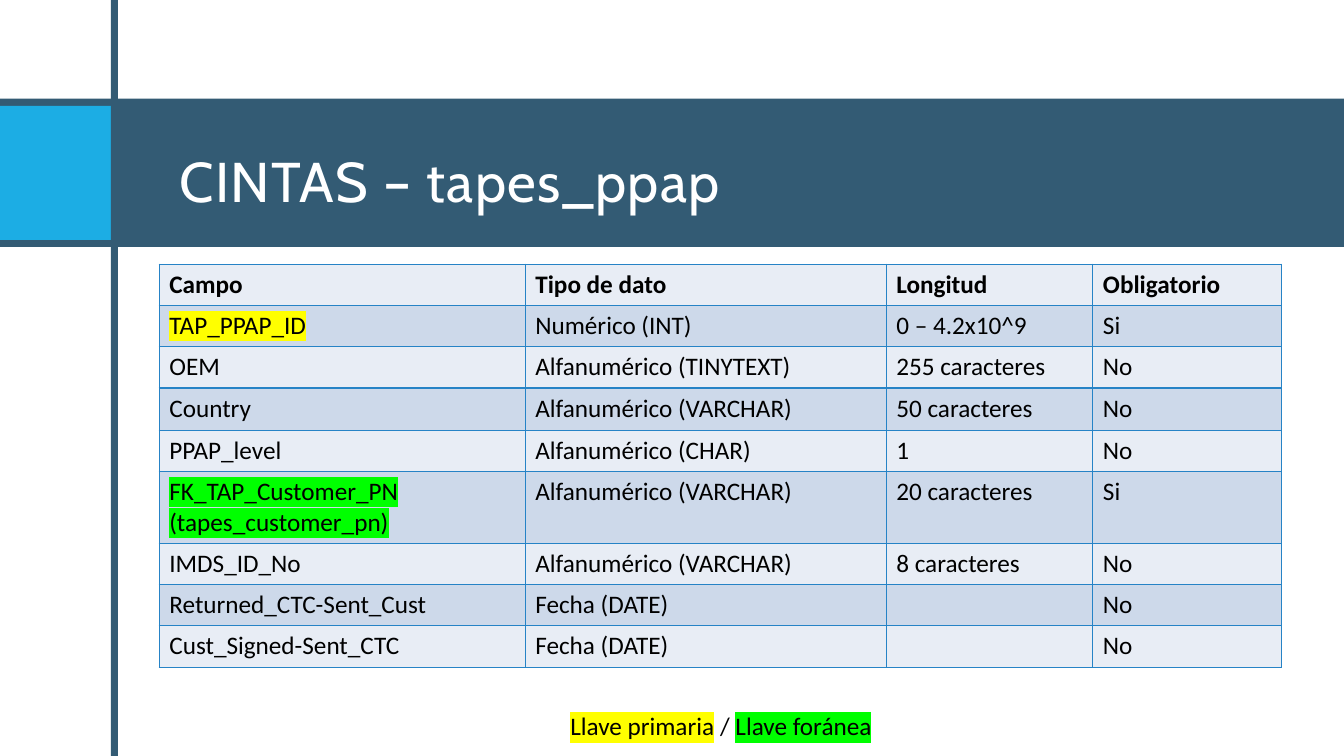
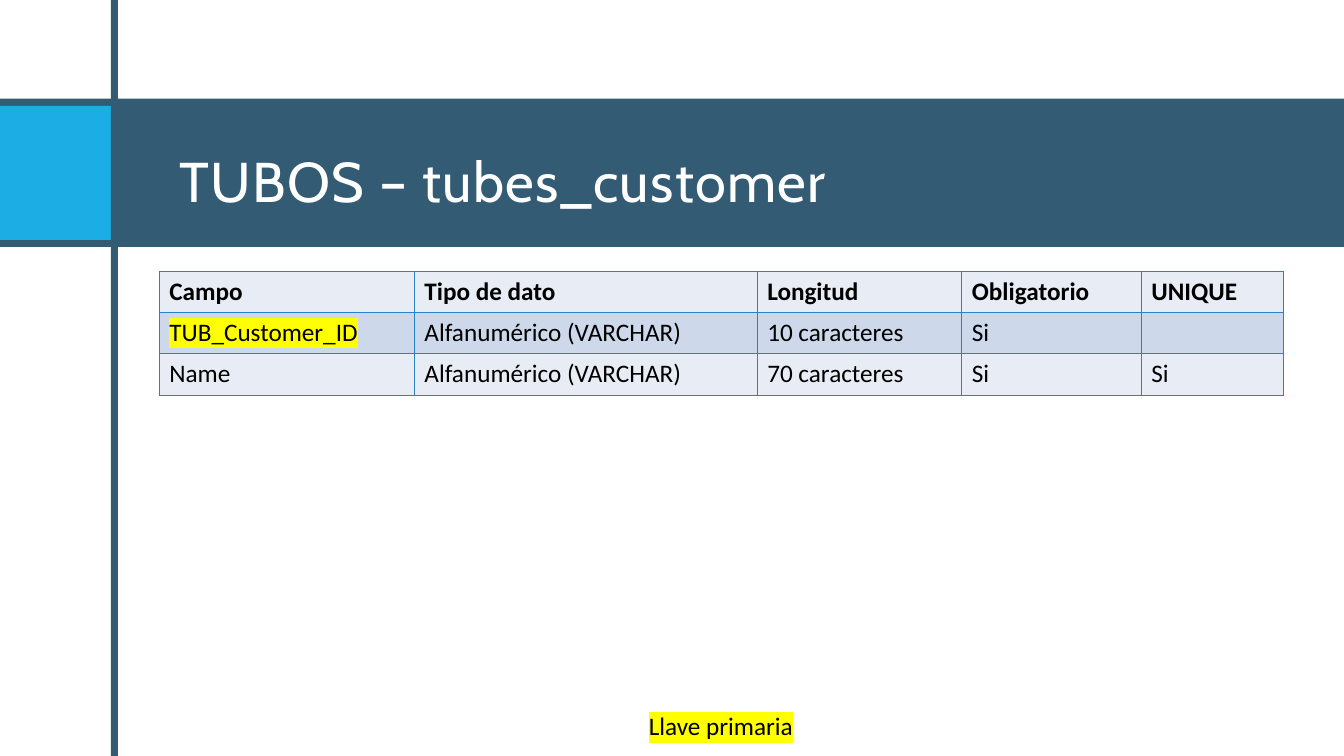
from pptx import Presentation
from pptx.dml.color import RGBColor
from pptx.enum.shapes import MSO_SHAPE
from pptx.enum.text import MSO_ANCHOR, PP_ALIGN
from pptx.oxml import parse_xml
from pptx.oxml.ns import nsdecls, qn
from pptx.util import Inches, Pt

NAVY, CYAN, BORDER = "335B74", "1CADE4", "2683C6"
WHITE, BLACK = "FFFFFF", "000000"
ROW_FILLS = ("E8EDF5", "CDD9EA")
PRIMARY, FOREIGN = "FFFF00", "00FF00"
ROW_HEIGHT = 0.41


def rgb(value):
    return RGBColor.from_string(value)


def color_xml(tag, value, attributes=""):
    """Return an a:<tag> element holding the colour; a line gets it as a solid fill."""
    color = f'<a:srgbClr val="{value}"/>'
    if tag.startswith("ln"):
        color = f"<a:solidFill>{color}</a:solidFill>"
    return parse_xml(f'<a:{tag} {nsdecls("a")} {attributes}>{color}</a:{tag}>')


def write(frame, *lines, size=18, font="Calibri", color=BLACK, bold=False,
          align=PP_ALIGN.LEFT, spacing=0):
    """Write one paragraph per line; a line is a list of (text, highlight) spans."""
    for index, line in enumerate(lines):
        para = frame.add_paragraph() if index else frame.paragraphs[0]
        para.alignment = align
        for text, highlight in line:
            span = para.add_run()
            span.text = text
            span.font.size = Pt(size)
            span.font.name = font
            span.font.bold = bold
            span.font.color.rgb = rgb(color)
            properties = span.font._element
            if spacing:
                properties.set("spc", str(spacing * 100))
            if highlight:
                fill = properties.find(qn("a:solidFill"))
                fill.addnext(color_xml("highlight", highlight))


class SchemaDeck:
    """Deck of database table descriptions, with the slide being built."""

    def __init__(self):
        self.deck = Presentation()
        self.deck.slide_width = Inches(13.33)
        self.deck.slide_height = Inches(7.5)
        self.slide = None

    def add_slide(self, title):
        self.slide = self.deck.slides.add_slide(self.deck.slide_layouts[6])
        self.block(0, 0.98, 13.33, 1.47, NAVY)
        self.block(0, 1.05, 1.1, 1.33, CYAN)
        self.block(1.1, 0, 0.07, 7.5, NAVY)
        frame = self.text_frame(1.68, 1.05, 10.95, 1.33)
        frame.margin_top = Inches(0.2)
        frame.vertical_anchor = MSO_ANCHOR.MIDDLE
        write(frame, [(title, None)], size=40, font="Cabin", color=WHITE, spacing=1)

    def block(self, left, top, width, height, color):
        shape = self.slide.shapes.add_shape(
            MSO_SHAPE.RECTANGLE, Inches(left), Inches(top), Inches(width), Inches(height))
        shape.shadow.inherit = False
        shape.fill.solid()
        shape.fill.fore_color.rgb = rgb(color)
        shape.line.fill.background()

    def text_frame(self, left, top, width, height):
        box = self.slide.shapes.add_textbox(
            Inches(left), Inches(top), Inches(width), Inches(height))
        box.text_frame.word_wrap = True
        return box.text_frame

    def legend(self, *spans):
        write(self.text_frame(3.66, 7, 6.98, 0.4), spans, align=PP_ALIGN.CENTER)

    def field_table(self, top, widths, rows, keys, heights=None):
        """Add a banded table; keys maps a row number to its first cell's highlight."""
        heights = heights or {}
        row_heights = [heights.get(number, ROW_HEIGHT) for number in range(len(rows))]
        table = self.slide.shapes.add_table(
            len(rows), len(widths), Inches(1.58), Inches(top),
            Inches(sum(widths)), Inches(sum(row_heights))).table
        table.first_row = table.horz_banding = False
        for column, width in zip(table.columns, widths):
            column.width = Inches(width)
        for number, values in enumerate(rows):
            table.rows[number].height = Inches(row_heights[number])
            for position, value in enumerate(values):
                highlight = keys.get(number) if position == 0 else None
                self.cell(table.cell(number, position), value, ROW_FILLS[number % 2],
                          highlight, bold=number == 0)

    def cell(self, cell, value, fill, highlight, bold):
        cell.fill.solid()
        cell.fill.fore_color.rgb = rgb(fill)
        properties = cell._tc.get_or_add_tcPr()
        for order, side in enumerate(("lnL", "lnR", "lnT", "lnB")):
            properties.insert(order, color_xml(side, BORDER, f'w="{Pt(1)}"'))
        if value:
            lines = [[(line, highlight)] for line in value.split("\n")]
            write(cell.text_frame, *lines, bold=bold)


def main():
    schema = SchemaDeck()
    header = ("Campo", "Tipo de dato", "Longitud", "Obligatorio")
    varchar = "Alfanumérico (VARCHAR)"
    primary_label = ("Llave primaria", PRIMARY)

    schema.add_slide("CINTAS – tapes_ppap")
    schema.field_table(2.62, (3.63, 3.58, 2.05, 1.87), [
        header,
        ("TAP_PPAP_ID", "Numérico (INT)", "0 – 4.2x10^9", "Si"),
        ("OEM", "Alfanumérico (TINYTEXT)", "255 caracteres", "No"),
        ("Country", varchar, "50 caracteres", "No"),
        ("PPAP_level", "Alfanumérico (CHAR)", "1", "No"),
        ("FK_TAP_Customer_PN\n(tapes_customer_pn)", varchar, "20 caracteres", "Si"),
        ("IMDS_ID_No", varchar, "8 caracteres", "No"),
        ("Returned_CTC-Sent_Cust", "Fecha (DATE)", "", "No"),
        ("Cust_Signed-Sent_CTC", "Fecha (DATE)", "", "No"),
    ], keys={1: PRIMARY, 5: FOREIGN}, heights={3: 0.42, 5: 0.71})
    schema.legend(primary_label, (" / ", None), ("Llave foránea", FOREIGN))

    schema.add_slide("TUBOS – tubes_customer")
    schema.field_table(2.69, (2.53, 3.4, 2.03, 1.78, 1.41), [
        (*header, "UNIQUE"),
        ("TUB_Customer_ID", varchar, "10 caracteres", "Si", ""),
        ("Name", varchar, "70 caracteres", "Si", "Si"),
    ], keys={1: PRIMARY})
    schema.legend(primary_label)

    schema.deck.save("out.pptx")


if __name__ == "__main__":
    main()
